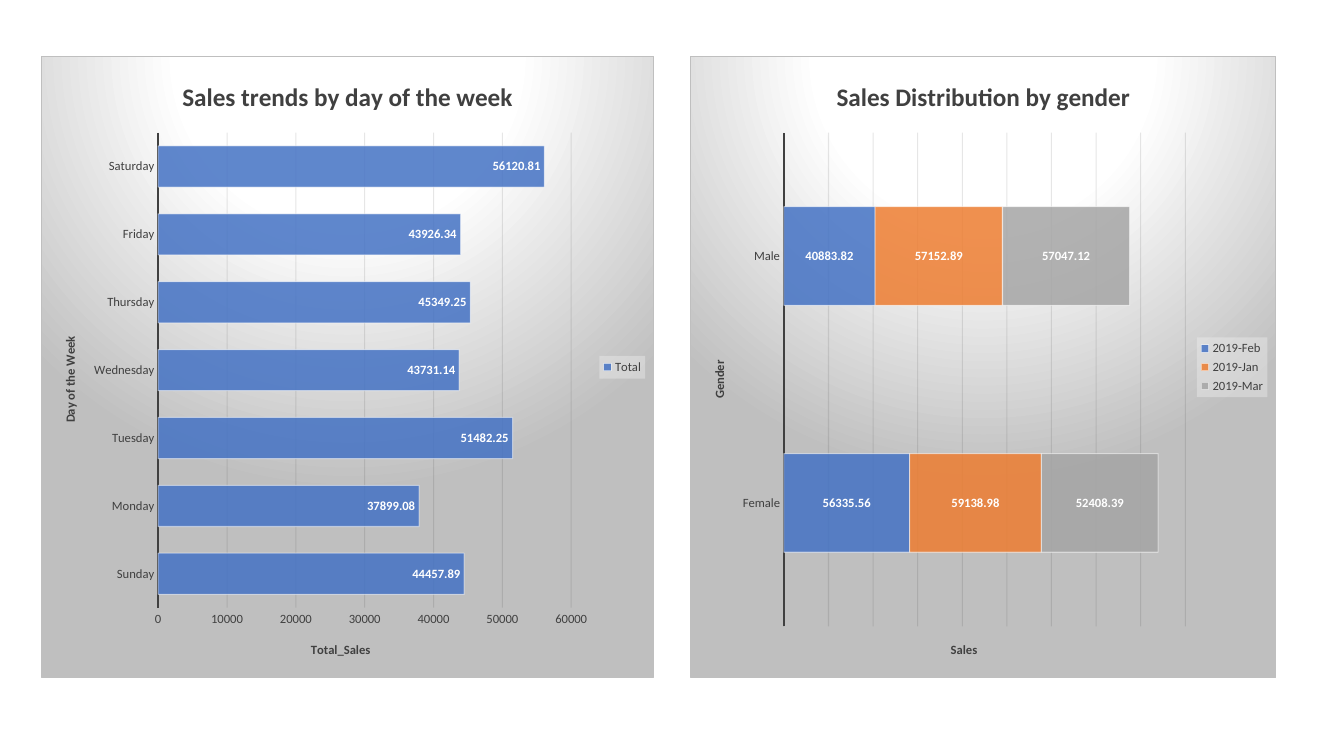
from dataclasses import dataclass

from lxml.etree import fromstring
from pptx import Presentation
from pptx.chart.axis import CategoryAxis, ValueAxis
from pptx.chart.chart import Chart
from pptx.chart.data import CategoryChartData
from pptx.dml.color import RGBColor
from pptx.dml.fill import FillFormat
from pptx.enum.chart import XL_CHART_TYPE as ChartType
from pptx.enum.chart import XL_LABEL_POSITION as LabelPosition
from pptx.enum.chart import XL_LEGEND_POSITION as LegendPosition
from pptx.enum.chart import XL_TICK_MARK as TickMark
from pptx.oxml import parse_xml
from pptx.oxml.ns import nsdecls
from pptx.slide import Slide
from pptx.text.text import Font, TextFrame
from pptx.util import Cm, Pt

TEXT, WHITE, GREY, GRID = "404040", "FFFFFF", "BFBFBF", "0D0D0D"
SERIES_COLORS = ("4472C4", "ED7D31", "A5A5A5")
CHART_TOP, CHART_HEIGHT = 1.42, 15.67

TITLE_FONT = {"name": "Calibri", "size": Pt(18), "bold": True}
AXIS_TITLE_FONT = {"name": "Calibri", "size": Pt(9), "bold": True}
SMALL_FONT = {"name": "Calibri", "size": Pt(9), "bold": False}
LABEL_FONT = {"name": "Calibri", "size": Pt(9), "bold": True}


@dataclass(frozen=True)
class SalesChart:
    title: str
    category_title: str
    value_title: str
    left: float
    width: float
    kind: ChartType
    gap: int
    overlap: int
    label_position: LabelPosition
    show_values_axis: bool
    categories: tuple[str, ...]
    series: dict[str, tuple[float, ...]]


CHARTS = (
    SalesChart(
        "Sales trends by day of the week", "Day of the Week", "Total_Sales",
        1.04, 15.44, ChartType.BAR_CLUSTERED, 65, 0, LabelPosition.INSIDE_END, True,
        ("Sunday", "Monday", "Tuesday", "Wednesday", "Thursday", "Friday", "Saturday"),
        {"Total": (44457.89, 37899.08, 51482.25, 43731.14, 45349.25, 43926.34, 56120.81)},
    ),
    SalesChart(
        "Sales Distribution by gender", "Gender", "Sales",
        17.4, 14.76, ChartType.BAR_STACKED, 150, 100, LabelPosition.CENTER, False,
        ("Female", "Male"),
        {
            "2019-Feb": (56335.56, 40883.82),
            "2019-Jan": (59138.98, 57152.89),
            "2019-Mar": (52408.39, 57047.12),
        },
    ),
)


def rgb(color: str) -> RGBColor:
    return RGBColor.from_string(color)


def set_font(font: Font, values: dict, color: str = TEXT) -> None:
    for name, value in values.items():
        setattr(font, name, value)
    font.color.rgb = rgb(color)


def set_text(frame: TextFrame, text: str, values: dict) -> None:
    run = frame.paragraphs[0].add_run()
    run.text = text
    set_font(run.font, values)


def set_fill(fill: FillFormat, color: str) -> None:
    fill.solid()
    fill.fore_color.rgb = rgb(color)


def set_opacity(chart: Chart, query: str, percent: int) -> None:
    """Give every colour under the matched properties an opacity."""
    for color in chart.element.xpath(f"{query}/a:solidFill/a:srgbClr"):
        color.append(parse_xml(f'<a:alpha {nsdecls("a")} val="{percent * 1000}"/>'))


def add_background(chart: Chart) -> None:
    stops = "".join(
        f'<a:gs pos="{position * 1000}"><a:srgbClr val="{color}"/></a:gs>'
        for position, color in ((0, WHITE), (39, WHITE), (100, GREY))
    )
    chart.element.xpath("c:chart")[0].addnext(parse_xml(
        f'<c:spPr {nsdecls("c", "a")}><a:gradFill><a:gsLst>{stops}</a:gsLst>'
        '<a:path path="circle">'
        '<a:fillToRect l="50000" t="-80000" r="50000" b="180000"/></a:path></a:gradFill>'
        f'<a:ln w="9525"><a:solidFill><a:srgbClr val="{GREY}"/></a:solidFill></a:ln></c:spPr>'
    ))


def add_legend(chart: Chart) -> None:
    chart.has_legend = True
    chart.legend.position = LegendPosition.RIGHT
    chart.legend.include_in_layout = False
    set_font(chart.legend.font, SMALL_FONT)
    chart.element.xpath("c:chart/c:legend/c:txPr")[0].addprevious(parse_xml(
        f'<c:spPr {nsdecls("c", "a")}><a:solidFill><a:srgbClr val="F2F2F2">'
        '<a:alpha val="39000"/></a:srgbClr></a:solidFill></c:spPr>'
    ))


def style_axis(axis: CategoryAxis | ValueAxis, title: str) -> None:
    axis.major_tick_mark = axis.minor_tick_mark = TickMark.NONE
    set_font(axis.tick_labels.font, SMALL_FONT)
    set_text(axis.axis_title.text_frame, title, AXIS_TITLE_FONT)


def style_axes(chart: Chart, sales: SalesChart) -> None:
    categories, values = chart.category_axis, chart.value_axis
    style_axis(categories, sales.category_title)
    style_axis(values, sales.value_title)
    for body in chart.element.xpath(".//c:catAx/c:title//a:bodyPr"):
        body.set("rot", "-5400000")
        body.set("vert", "horz")
    set_fill(categories.format.line.fill, TEXT)
    categories.format.line.width = Pt(1.5)
    values.format.line.fill.background()
    values.visible = sales.show_values_axis
    grid_line = values.major_gridlines.format.line
    set_fill(grid_line.fill, GRID)
    grid_line.width = Pt(0.75)
    set_opacity(chart, ".//c:majorGridlines/c:spPr/a:ln", 10)


def style_series(chart: Chart, sales: SalesChart) -> None:
    plot = chart.plots[0]
    plot.gap_width, plot.overlap = sales.gap, sales.overlap
    plot.vary_by_categories = False
    for series, color in zip(plot.series, SERIES_COLORS):
        series.invert_if_negative = False
        set_fill(series.format.fill, color)
        set_fill(series.format.line.fill, WHITE)
        series.format.line.width = Pt(0.75)
        labels = series.data_labels
        labels.show_value = True
        labels.position = sales.label_position
        set_font(labels.font, LABEL_FONT, WHITE)
    set_opacity(chart, ".//c:ser/c:spPr", 85)
    set_opacity(chart, ".//c:ser/c:spPr/a:ln", 50)


def add_sales_chart(slide: Slide, sales: SalesChart) -> None:
    data = CategoryChartData()
    data.categories = sales.categories
    for name, values in sales.series.items():
        data.add_series(name, values)
    chart = slide.shapes.add_chart(
        sales.kind, Cm(sales.left), Cm(CHART_TOP), Cm(sales.width), Cm(CHART_HEIGHT), data
    ).chart
    set_font(chart.font, {"name": "Calibri", "size": Pt(10)}, "000000")
    set_text(chart.chart_title.text_frame, sales.title, TITLE_FONT)
    chart.chart_title.include_in_layout = False
    add_legend(chart)
    style_axes(chart, sales)
    style_series(chart, sales)
    add_background(chart)


def main() -> None:
    presentation = Presentation()
    presentation.slide_width, presentation.slide_height = Cm(33.87), Cm(19.05)
    slide = presentation.slides.add_slide(presentation.slide_layouts[6])
    for sales in CHARTS:
        add_sales_chart(slide, sales)
    presentation.save("out.pptx")


if __name__ == "__main__":
    main()
